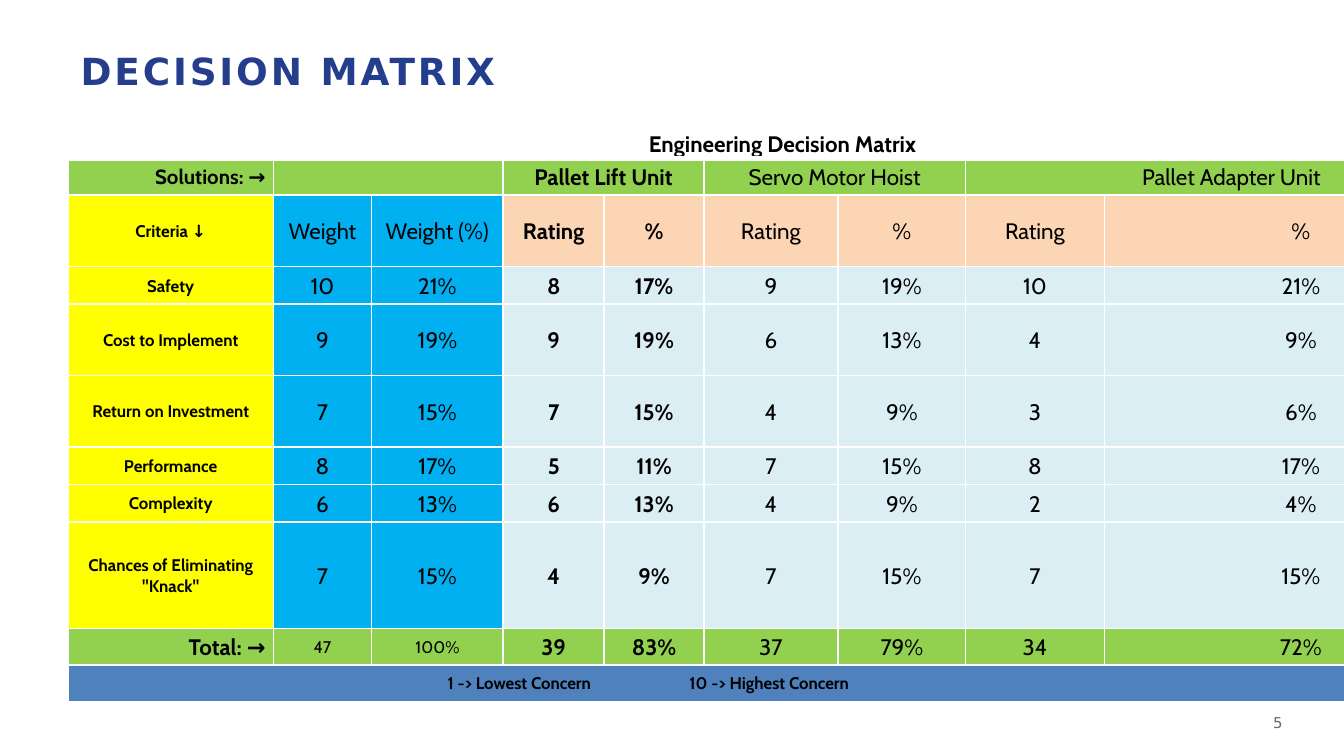
from dataclasses import dataclass

from lxml.etree import SubElement
from pptx import Presentation
from pptx.dml.color import RGBColor
from pptx.enum.text import MSO_ANCHOR as ANCHOR, PP_ALIGN as ALIGN
from pptx.oxml.ns import qn
from pptx.util import Cm, Pt


@dataclass(frozen=True)
class Theme:
    """Colours, fonts and type sizes of the slide."""
    navy: str = "243E8D"
    grey: str = "676A6C"
    black: str = "000000"
    white: str = "FFFFFF"
    green: str = "92D050"
    yellow: str = "FFFF00"
    blue: str = "00B0F0"
    peach: str = "FCD5B5"
    pale: str = "DBEEF4"
    steel: str = "4F81BD"
    head_font: str = "DejaVu Sans"
    body_font: str = "Cabin"
    title: int = 20
    body: int = 12
    solutions: int = 11
    label: int = 9
    number: int = 8


T = Theme()
COL_WIDTHS = [3.89, 1.85, 2.49, 1.91, 1.88, 2.54, 2.41, 2.62, 2.39]
ROW_HEIGHTS = [0.88, 0.7, 1.35, 0.71, 1.35, 1.35, 0.71, 0.71, 2.01, 0.69, 0.69]
SOLUTIONS = ["Pallet Lift Unit", "Servo Motor Hoist", "Pallet Adapter Unit"]
CRITERIA = {
    "Safety": [10, 8, 9, 10],
    "Cost to Implement": [9, 9, 6, 4],
    "Return on Investment": [7, 7, 4, 3],
    "Performance": [8, 5, 7, 8],
    "Complexity": [6, 6, 4, 2],
    'Chances of Eliminating "Knack"': [7, 4, 7, 7],
}
TOTALS = [sum(column) for column in zip(*CRITERIA.values())]
PREFERRED = (3, 4)


def write(tf, text, size=T.body, color=T.black, font=T.body_font, bold=False,
          align=ALIGN.CENTER, spacing=None, leading=None, tab=None):
    """Write one formatted paragraph into a text frame."""
    p = tf.paragraphs[0]
    p.alignment = align
    if leading:
        p.line_spacing = leading
    if tab:
        tabs = SubElement(p._p.get_or_add_pPr(), qn("a:tabLst"))
        SubElement(tabs, qn("a:tab"), pos=str(tab), algn="l")
    p.font.size = Pt(size)
    if not text:
        SubElement(p._p, qn("a:endParaRPr"), sz=str(size * 100))
        return
    r = p.add_run()
    r.text = text
    r.font.size = Pt(size)
    r.font.name = font
    r.font.bold = bold
    r.font.color.rgb = RGBColor.from_string(color)
    if spacing:
        r._r.get_or_add_rPr().set("spc", str(int(spacing * 100)))


def add_borders(cell, top=1, bottom=1):
    """Give a cell white borders of the given point widths."""
    tc_pr = cell._tc.get_or_add_tcPr()
    for side, width in (("L", 1), ("R", 1), ("T", top), ("B", bottom)):
        ln = SubElement(tc_pr, qn(f"a:ln{side}"), w=str(Pt(width)))
        fill = SubElement(ln, qn("a:solidFill"))
        SubElement(fill, qn("a:srgbClr"), val=T.white)


def style_cell(cell, fill=None, anchor=ANCHOR.MIDDLE, top=1, bottom=1):
    """Set the margins, anchor, borders and fill of a cell."""
    cell.margin_left = cell.margin_right = Cm(0.15)
    cell.margin_top = cell.margin_bottom = 0
    cell.vertical_anchor = anchor
    add_borders(cell, top, bottom)
    if fill:
        cell.fill.solid()
        cell.fill.fore_color.rgb = RGBColor.from_string(fill)
    else:
        cell.fill.background()


def with_shares(values):
    """Follow each value with its share of the total weight."""
    return [text for v in values for text in (str(v), f"{v / TOTALS[0]:.0%}")]


def matrix_rows():
    """Return the texts of all table rows."""
    solutions = [text for name in SOLUTIONS for text in (name, "")]
    return [
        ["Engineering Decision Matrix"] + [""] * 8,
        ["Solutions: →", "", ""] + solutions,
        ["Criteria ↓", "Weight", "Weight (%)"] + ["Rating", "%"] * 3,
        *([name] + with_shares(values) for name, values in CRITERIA.items()),
        ["Total: →"] + with_shares(TOTALS),
        ["1 -> Lowest Concern\t10 -> Highest Concern"] + [""] * 8,
    ]


def cell_fill(row, col):
    """Return the fill colour for a place in the matrix."""
    if row in (0, 10):
        return T.steel if row else None
    if row in (1, 9):
        return T.green
    if col < 3:
        return T.blue if col else T.yellow
    return T.peach if row == 2 else T.pale


def cell_size(row, col):
    """Return the type size for a place in the matrix."""
    if (row, col) == (1, 0):
        return T.solutions
    small_label = col == 0 and 2 <= row <= 8
    small_total = row == 9 and col in (1, 2)
    return T.label if small_label or small_total or row == 10 else T.body


def add_matrix(slide):
    """Add the decision matrix table."""
    rows = matrix_rows()
    frame = slide.shapes.add_table(len(rows), len(COL_WIDTHS), Cm(1.28), Cm(2.11),
                                   Cm(sum(COL_WIDTHS)), Cm(sum(ROW_HEIGHTS)))
    table = frame.table
    table.first_row = table.horz_banding = False
    for column, width in zip(table.columns, COL_WIDTHS):
        column.width = Cm(width)
    for row, height in zip(table.rows, ROW_HEIGHTS):
        row.height = Cm(height)
    for i, texts in enumerate(rows):
        for j, text in enumerate(texts):
            cell = table.cell(i, j)
            style_cell(cell, cell_fill(i, j), ANCHOR.MIDDLE if i else ANCHOR.BOTTOM,
                       top=3 if i == 1 else 1, bottom=1 if i else 3)
            legend = i == 10 and j == 0
            if legend:
                cell.margin_left = Cm(7.18)
            align = ALIGN.RIGHT if j == 0 and i in (1, 9) else ALIGN.CENTER
            write(cell.text_frame, text, cell_size(i, j),
                  bold=j == 0 or j in PREFERRED,
                  align=ALIGN.LEFT if legend else align,
                  leading=1.07, tab=Cm(4.57) if legend else None)
    for i in (0, 10):
        table.cell(i, 0).merge(table.cell(i, 8))
    for j in range(1, 9, 2):
        table.cell(1, j).merge(table.cell(1, j + 1))


def add_title(slide, text):
    """Place and fill the title placeholder."""
    sp = slide.shapes.title
    sp.left, sp.top, sp.width, sp.height = Cm(1.27), Cm(0.58), Cm(22.86), Cm(1.52)
    sp.text_frame.vertical_anchor = ANCHOR.MIDDLE
    write(sp.text_frame, text, T.title, T.navy, T.head_font, bold=True,
          align=ALIGN.LEFT, spacing=1.5)


def add_page_number(slide, text):
    """Add the page number at the lower right."""
    sp = slide.shapes.add_textbox(Cm(18.95), Cm(13.28), Cm(5.54), Cm(0.76))
    tf = sp.text_frame
    tf.word_wrap = True
    tf.vertical_anchor = ANCHOR.MIDDLE
    write(tf, text, T.number, T.grey, T.head_font, align=ALIGN.RIGHT, spacing=1.5)


def main():
    """Build the slide and save it."""
    prs = Presentation()
    prs.slide_width, prs.slide_height = Cm(25.4), Cm(14.29)
    slide = prs.slides.add_slide(prs.slide_layouts[5])
    add_title(slide, "DECISION MATRIX")
    add_page_number(slide, "5")
    add_matrix(slide)
    prs.save("out.pptx")


if __name__ == "__main__":
    main()
